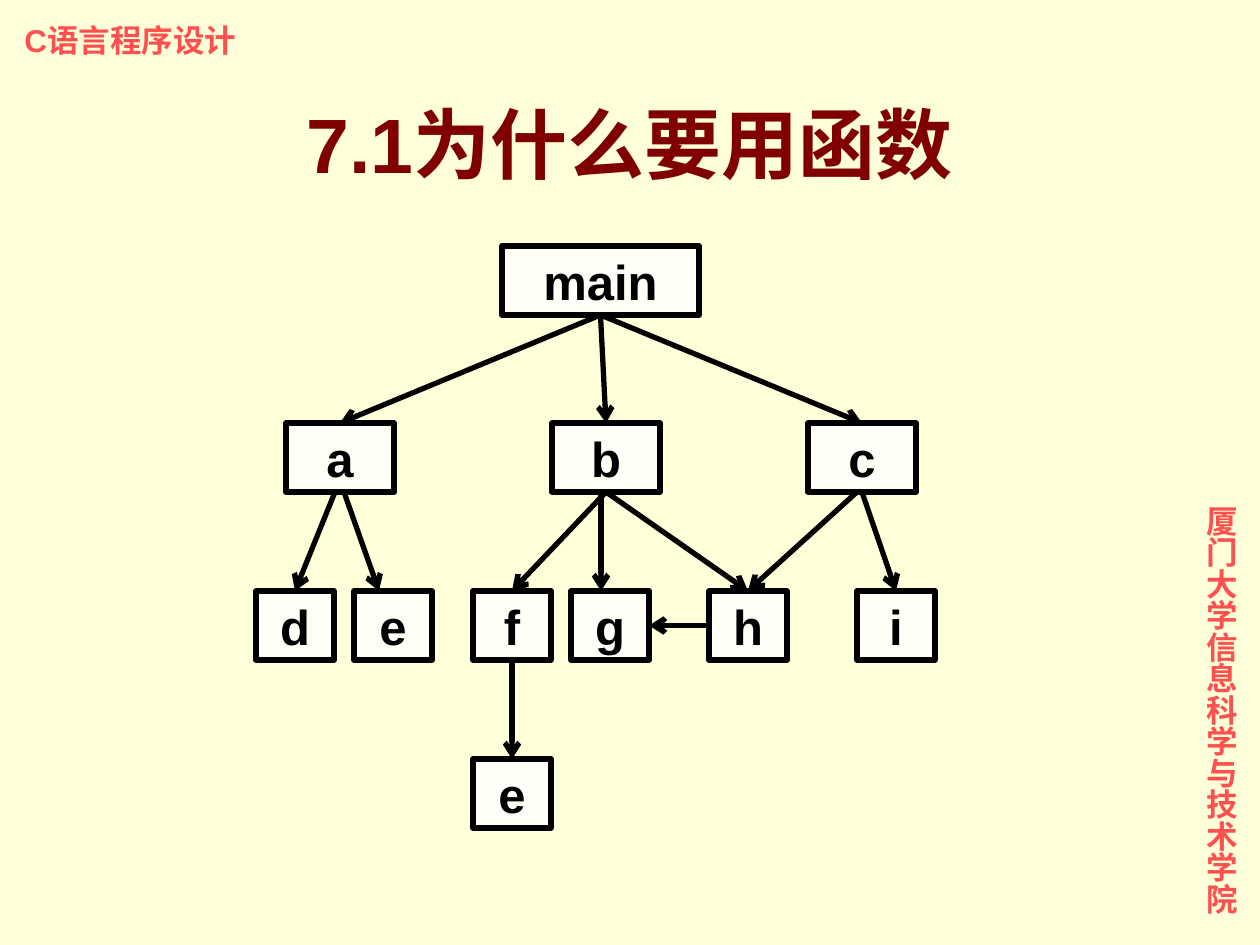
from pptx import Presentation
from pptx.dml.color import RGBColor
from pptx.enum.shapes import MSO_CONNECTOR, MSO_SHAPE
from pptx.enum.text import MSO_ANCHOR, PP_ALIGN
from pptx.oxml.ns import qn
from pptx.util import Emu, Pt
from lxml.etree import SubElement

EMU_PER_PX = 914400 / 126
CREAM = RGBColor(0xFF, 0xFF, 0xD9)
IVORY = RGBColor(0xFF, 0xFF, 0xF7)
CORAL = RGBColor(0xFF, 0x50, 0x50)
MAROON = RGBColor(0x80, 0x00, 0x00)
BLACK = RGBColor(0x00, 0x00, 0x00)

TOP, LEFT, BOTTOM, RIGHT = range(4)
BOX_HEIGHT = 69
LINE_WIDTH = Pt(3)

HEADER_FORMAT = {"size": Pt(18), "color": CORAL}
TITLE_FORMAT = {"size": Pt(44), "color": MAROON}
NODE_FORMAT = {"size": Pt(28), "color": BLACK}

LEVELS = [
    (246, 197, {"main": 502}),
    (423, 108, {"a": 286, "b": 552, "c": 808}),
    (591, 78, {"d": 256, "e": 354, "f": 473, "g": 571, "h": 709, "i": 857}),
    (759, 78, {"e under f": 473}),
]
CALLS = [
    ("main", "a", 0, 0),
    ("main", "b", 0, 0),
    ("main", "c", 0, 0),
    ("a", "d", -5, 0),
    ("a", "e", 4, -14),
    ("b", "f", 0, 0),
    ("b", "g", -5, -9),
    ("b", "h", 0, 0),
    ("c", "h", -5, 0),
    ("c", "i", 0, 0),
    ("f", "e under f", 0, 0),
]


def px(value):
    return Emu(round(value * EMU_PER_PX))


def write_text(shape, text, text_format, alignment=PP_ALIGN.LEFT):
    paragraph = shape.text_frame.paragraphs[0]
    paragraph.alignment = alignment
    run = paragraph.add_run()
    run.text = text
    values = {"name": "Arial", "bold": True, "size": text_format["size"]}
    for attribute, value in values.items():
        setattr(run.font, attribute, value)
    run.font.color.rgb = text_format["color"]


def add_label(slide, bounds, text, text_format, alignment=PP_ALIGN.LEFT):
    shape = slide.shapes.add_textbox(*map(px, bounds))
    shape.text_frame.word_wrap = True
    write_text(shape, text, text_format, alignment)
    return shape


def add_node(slide, bounds, text):
    shape = slide.shapes.add_shape(MSO_SHAPE.FLOWCHART_PROCESS, *map(px, bounds))
    shape.shadow.inherit = False
    shape.fill.solid()
    shape.fill.fore_color.rgb = IVORY
    shape.line.color.rgb = BLACK
    shape.line.width = LINE_WIDTH
    frame_format = {
        "margin_left": 0,
        "margin_top": 0,
        "margin_right": 0,
        "margin_bottom": 0,
        "word_wrap": False,
        "vertical_anchor": MSO_ANCHOR.MIDDLE,
    }
    for attribute, value in frame_format.items():
        setattr(shape.text_frame, attribute, value)
    write_text(shape, text, NODE_FORMAT, PP_ALIGN.CENTER)
    return shape


def side_point(shape, side, offset):
    x = {LEFT: shape.left, RIGHT: shape.left + shape.width}.get(
        side, shape.left + shape.width // 2 + px(offset))
    y = {TOP: shape.top, BOTTOM: shape.top + shape.height}.get(
        side, shape.top + shape.height // 2)
    return x, y


def add_arrow(slide, source, target, source_offset=0, target_offset=0,
              source_side=BOTTOM, target_side=TOP):
    connector = slide.shapes.add_connector(
        MSO_CONNECTOR.STRAIGHT,
        *side_point(source, source_side, source_offset),
        *side_point(target, target_side, target_offset))
    if not source_offset:
        connector.begin_connect(source, source_side)
    if not target_offset:
        connector.end_connect(target, target_side)
    connector.line.color.rgb = BLACK
    connector.line.width = LINE_WIDTH
    properties = connector.element.spPr
    SubElement(properties.find(qn("a:ln")), qn("a:tailEnd"), type="arrow")
    SubElement(properties, qn("a:effectLst"))


def add_call_tree(slide):
    nodes = {}
    for top, width, row in LEVELS:
        for name, left in row.items():
            nodes[name] = add_node(
                slide, (left, top, width, BOX_HEIGHT), name.split()[0])
    for source, target, source_offset, target_offset in CALLS:
        add_arrow(slide, nodes[source], nodes[target], source_offset, target_offset)
    add_arrow(slide, nodes["h"], nodes["g"], source_side=LEFT, target_side=RIGHT)


def main():
    presentation = Presentation()
    presentation.slide_width = px(1260)
    presentation.slide_height = px(945)
    slide = presentation.slides.add_slide(presentation.slide_layouts[6])
    slide.background.fill.solid()
    slide.background.fill.fore_color.rgb = CREAM

    add_label(slide, (12, 15, 239, 50), "C语言程序设计", HEADER_FORMAT)
    school = add_label(slide, (1182, 493, 64, 455), "厦门大学信息科学与技术学院",
                       HEADER_FORMAT)
    school.element.find(".//" + qn("a:bodyPr")).set("vert", "eaVert")
    title = add_label(slide, (20, 90, 1220, 106), "7.1为什么要用函数",
                      TITLE_FORMAT, PP_ALIGN.CENTER)
    title.text_frame.vertical_anchor = MSO_ANCHOR.MIDDLE
    add_call_tree(slide)
    presentation.save("out.pptx")


if __name__ == "__main__":
    main()
